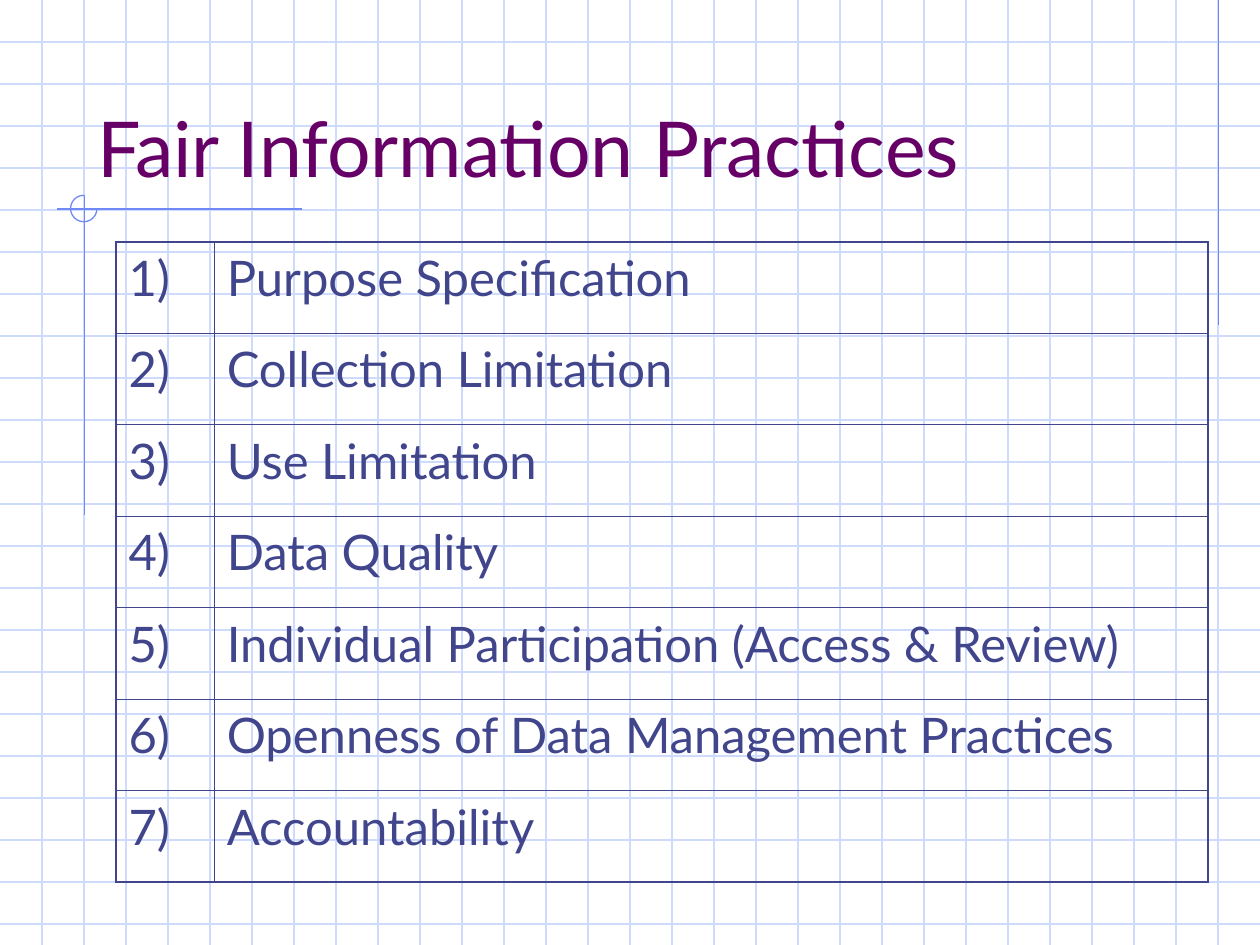
from lxml import etree
from pptx import Presentation
from pptx.dml.color import RGBColor
from pptx.enum.shapes import MSO_CONNECTOR, MSO_SHAPE
from pptx.enum.text import MSO_ANCHOR, MSO_AUTO_SIZE, PP_ALIGN
from pptx.oxml.ns import qn
from pptx.util import Inches, Pt

STRAIGHT = MSO_CONNECTOR.STRAIGHT
ARC = MSO_SHAPE.ARC
BOTTOM = MSO_ANCHOR.BOTTOM
NO_FIT = MSO_AUTO_SIZE.NONE
LEFT = PP_ALIGN.LEFT

TITLE = "Fair Information Practices"
PRACTICES = [
    "Purpose Specification",
    "Collection Limitation",
    "Use Limitation",
    "Data Quality",
    "Individual Participation (Access & Review)",
    "Openness of Data Management Practices",
    "Accountability",
]
COLORS = {"grid": "CFDBFD", "accent": "6F89F7", "title": "660066", "body": "40458C"}
FONT = "Lato"
WIDTH, HEIGHT = 10, 7.5
GRID_STEPS_PER_INCH = 3
LINE_WEIGHT = 0.75
OUTER_BORDER, INNER_BORDER = 1.08, 0.45
ACCENT_LINES = [
    (9.67, 0, 9.67, 2.58),
    (2.4, 1.66, 0.45, 1.66),
    (0.67, 1.55, 0.67, 4.09),
]
ARC_BOX = (0.56, 1.55, 0.21, 0.21)
TITLE_BOX = {"left": 0.67, "top": 0.33, "width": 8.5, "height": 1.25}
TABLE_BOX = (0.92, 1.92, 8.67, 5.08)
COLUMN_WIDTHS = (0.78, 7.89)


def color(key):
    return RGBColor.from_string(COLORS[key])


def set_font(paragraph, size, key):
    paragraph.alignment = LEFT
    for name, value in {"name": FONT, "size": Pt(size), "bold": False}.items():
        setattr(paragraph.font, name, value)
    paragraph.font.color.rgb = color(key)


def style_line(line, key):
    line.color.rgb = color(key)
    line.width = Pt(LINE_WEIGHT)


def draw_line(slide, ends, key):
    rule = slide.shapes.add_connector(STRAIGHT, *map(Inches, ends))
    style_line(rule.line, key)
    etree.SubElement(rule._element.spPr, qn("a:effectLst"))


def draw_background(slide):
    for step in range(1, int(HEIGHT * GRID_STEPS_PER_INCH) + 1):
        y = step / GRID_STEPS_PER_INCH
        draw_line(slide, (0, y, WIDTH, y), "grid")
    for step in range(1, WIDTH * GRID_STEPS_PER_INCH):
        x = step / GRID_STEPS_PER_INCH
        draw_line(slide, (x, 0, x, HEIGHT), "grid")
    for ends in ACCENT_LINES:
        draw_line(slide, ends, "accent")
    ring = slide.shapes.add_shape(ARC, *map(Inches, ARC_BOX))
    ring.adjustments[0] = 0
    ring.adjustments[1] = 162
    ring.shadow.inherit = False
    ring.fill.background()
    style_line(ring.line, "accent")


def place_title(slide):
    title = slide.shapes.title
    for name, value in TITLE_BOX.items():
        setattr(title, name, Inches(value))
    title.text = TITLE
    frame_format = {"vertical_anchor": BOTTOM, "word_wrap": True, "auto_size": NO_FIT}
    for name, value in frame_format.items():
        setattr(title.text_frame, name, value)
    set_font(title.text_frame.paragraphs[0], 44, "title")
    slide.shapes._spTree.append(title._element)


def set_borders(cell, outer_sides):
    properties = cell._tc.get_or_add_tcPr()
    for index, (side, is_outer) in enumerate(outer_sides.items()):
        weight = OUTER_BORDER if is_outer else INNER_BORDER
        border = etree.Element(qn(f"a:ln{side}"), w=str(int(Pt(weight))))
        fill = etree.SubElement(border, qn("a:solidFill"))
        etree.SubElement(fill, qn("a:srgbClr"), val=COLORS["body"])
        properties.insert(index, border)


def add_practices(slide):
    rows, columns = len(PRACTICES), len(COLUMN_WIDTHS)
    table = slide.shapes.add_table(rows, columns, *map(Inches, TABLE_BOX)).table
    table.first_row = False
    table.horz_banding = False
    for column, width in zip(table.columns, COLUMN_WIDTHS):
        column.width = Inches(width)
    for row, practice in enumerate(PRACTICES):
        for column, text in enumerate((f"{row + 1})", practice)):
            cell = table.cell(row, column)
            cell.text = text
            cell.fill.background()
            paragraph = cell.text_frame.paragraphs[0]
            paragraph.space_before = Pt(7)
            set_font(paragraph, 28, "body")
            set_borders(cell, {
                "L": column == 0,
                "R": column == columns - 1,
                "T": row == 0,
                "B": row == rows - 1,
            })


def main():
    deck = Presentation()
    deck.slide_width = Inches(WIDTH)
    deck.slide_height = Inches(HEIGHT)
    slide = deck.slides.add_slide(deck.slide_layouts.get_by_name("Title Only"))
    draw_background(slide)
    place_title(slide)
    add_practices(slide)
    deck.save("out.pptx")


if __name__ == "__main__":
    main()
